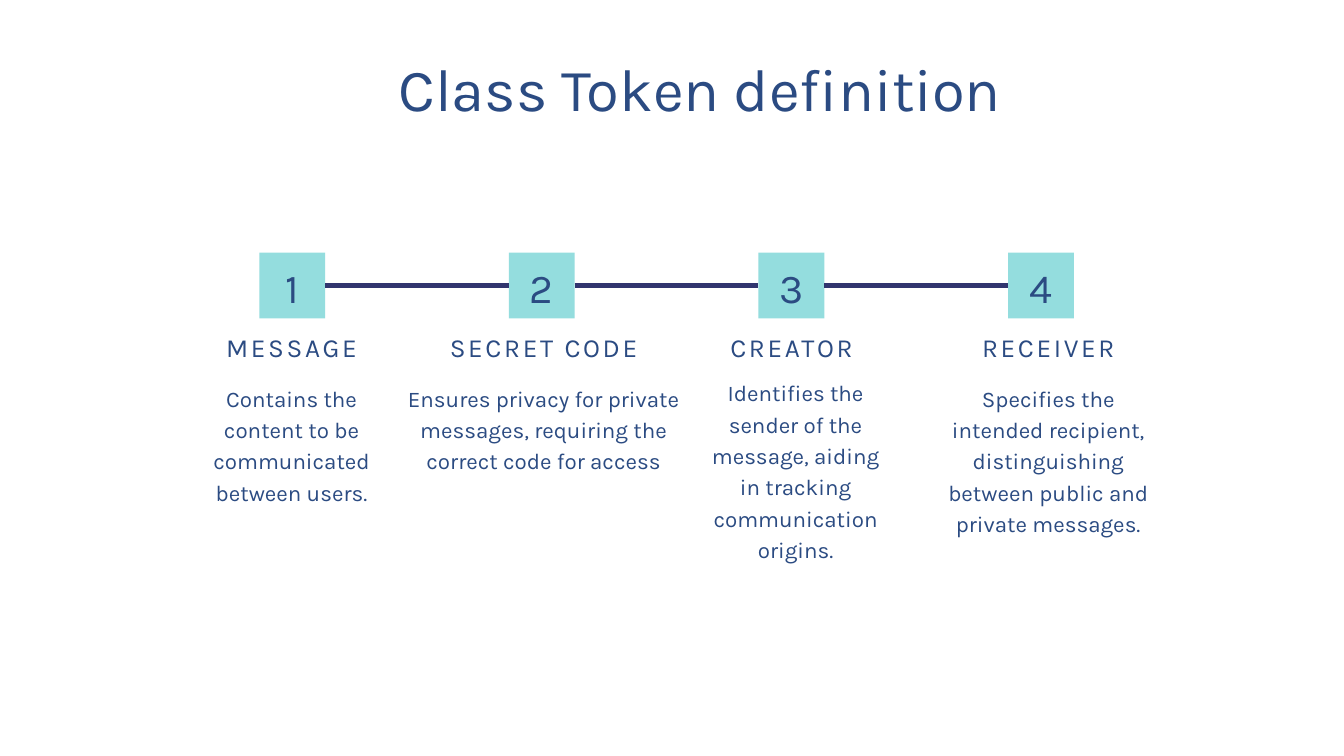
import pptx
import pptx.util
from lxml import etree
from pptx.dml.color import RGBColor
from pptx.enum.shapes import MSO_CONNECTOR, MSO_SHAPE
from pptx.enum.text import MSO_ANCHOR, PP_ALIGN
from pptx.oxml.ns import qn
from pptx.util import Inches

COLORS = {"text": "2B4B82", "square": "94DDDE", "line": "31356E"}
FONT = "Karla"
SQUARE_SIDE = 0.49
SQUARE_TOP = 1.88
FIRST_LEFT = 1.93
LAST_LEFT = 7.5
LABEL_TOP = 2.43

FIELDS = [
    ("MESSAGE", "Contains the content to be communicated between users.",
     1.5, 1.34, 2.83, 1.34),
    ("SECRET CODE", "Ensures privacy for private messages, requiring the correct code for access",
     2.99, 2.11, 2.83, 2.11),
    ("CREATOR", "Identifies the sender of the message, aiding in tracking communication origins.",
     5.22, 1.34, 2.79, 1.4),
    ("RECEIVER", "Specifies the intended recipient, distinguishing between public and private messages.",
     7.01, 1.58, 2.83, 1.58),
]


def color(name):
    return RGBColor.from_string(COLORS[name])


def write_text(shape, text, size, leading, spacing=0, anchor=MSO_ANCHOR.TOP, bottom=0):
    frame = shape.text_frame
    frame.word_wrap = True
    frame.vertical_anchor = anchor
    frame.margin_left = frame.margin_right = frame.margin_top = 0
    frame.margin_bottom = Inches(bottom)
    para = frame.paragraphs[0]
    para.alignment = PP_ALIGN.CENTER
    para.line_spacing = pptx.util.Pt(leading)
    para.space_before = pptx.util.Pt(0)
    span = para.add_run()
    span.text = text
    span.font.name = FONT
    span.font.size = pptx.util.Pt(size)
    span.font.color.rgb = color("text")
    if spacing:
        span.font._element.set("spc", str(round(spacing * 100)))


def add_title(page, text):
    title = page.shapes.title
    title.left, title.top = Inches(0.8), Inches(0.45)
    title.width, title.height = Inches(8.82), Inches(0.48)
    write_text(title, text, size=32, leading=33.6)


def add_text(page, text, left, top, width, height, **style):
    box = page.shapes.add_textbox(Inches(left), Inches(top), Inches(width), Inches(height))
    write_text(box, text, **style)


def add_square(page, number, left):
    square = page.shapes.add_shape(
        MSO_SHAPE.RECTANGLE, Inches(left), Inches(SQUARE_TOP),
        Inches(SQUARE_SIDE), Inches(SQUARE_SIDE))
    square.shadow.inherit = False
    square.fill.solid()
    square.fill.fore_color.rgb = color("square")
    square.line.fill.background()
    write_text(square, str(number), size=22, leading=30.8, spacing=3.8,
               anchor=MSO_ANCHOR.MIDDLE, bottom=0.04)
    return square


def join_squares(page, start, end):
    line = page.shapes.add_connector(MSO_CONNECTOR.STRAIGHT, 0, 0, 0, 0)
    line.begin_connect(start, 3)
    line.end_connect(end, 1)
    line.line.color.rgb = color("line")
    line.line.width = pptx.util.Pt(2.25)
    etree.SubElement(line._element.spPr, qn("a:effectLst"))


def main():
    deck = pptx.Presentation()
    deck.slide_width = Inches(10)
    deck.slide_height = Inches(10) * 9 // 16
    page = deck.slides.add_slide(deck.slide_layouts[5])
    add_title(page, "Class Token definition")

    step = (LAST_LEFT - FIRST_LEFT) / (len(FIELDS) - 1)
    squares = [add_square(page, index + 1, FIRST_LEFT + index * step)
               for index in range(len(FIELDS))]
    for start, end in zip(squares, squares[1:]):
        join_squares(page, start, end)

    for label, description, left, width, top, description_width in FIELDS:
        add_text(page, label, left, LABEL_TOP, width, 0.26,
                 size=14, leading=19.6, spacing=1.4)
        add_text(page, description, left, top, description_width, 1.17,
                 size=12, leading=16.8)

    deck.save("out.pptx")


if __name__ == "__main__":
    main()
